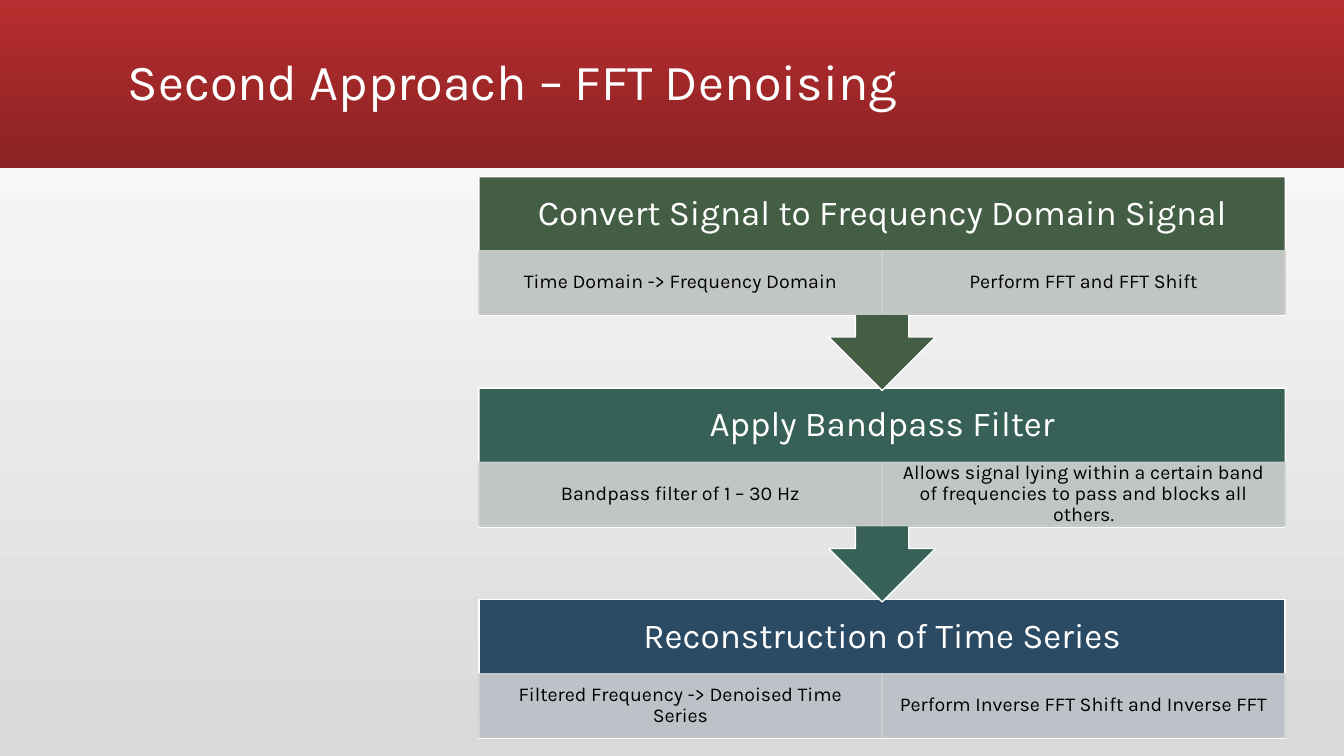
from pptx import Presentation
from pptx import util as u
from pptx.dml.color import RGBColor
from pptx.enum import shapes, text
from pptx.oxml import parse_xml
from pptx.oxml.ns import nsdecls, qn

FONT = "Karla"
WHITE = RGBColor(0xFF, 0xFF, 0xFF)
BLACK = RGBColor(0, 0, 0)
PALE_GREY = RGBColor(0xD9, 0xD9, 0xD9)
RED = RGBColor(0xB8, 0x2D, 0x2F)
DARK_RED = RGBColor(0x8A, 0x22, 0x23)
GREEN = RGBColor(0x44, 0x5E, 0x45)
TEAL = RGBColor(0x37, 0x61, 0x56)
NAVY = RGBColor(0x2B, 0x4A, 0x63)
GREEN_TINT = RGBColor(0xCF, 0xD2, 0xD0)
TEAL_TINT = RGBColor(0xCE, 0xD2, 0xD2)
NAVY_TINT = RGBColor(0xCD, 0xD0, 0xD3)

STEPS = [
    ("Convert Signal to Frequency Domain Signal", GREEN, GREEN_TINT,
     ["Time Domain -> Frequency Domain", "Perform FFT and FFT Shift"]),
    ("Apply Bandpass Filter", TEAL, TEAL_TINT,
     ["Bandpass filter of 1 – 30 Hz",
      "Allows signal lying within a certain band of frequencies to pass and blocks all others."]),
    ("Reconstruction of Time Series", NAVY, NAVY_TINT,
     ["Filtered Frequency -> Denoised Time Series", "Perform Inverse FFT Shift and Inverse FFT"]),
]
STEP_PITCH = u.Cm(5.33)
CALLOUT_HEIGHT = u.Cm(5.39)
LAST_HEIGHT = u.Cm(3.5)
HEADING_HEIGHT = u.Cm(1.87)
DETAIL_HEIGHT = u.Cm(1.6)


def shade(fill, start, end, angle):
    """Apply a two-colour linear gradient."""
    fill.gradient()
    fill.gradient_angle = angle
    for stop, colour in zip(fill.gradient_stops, (start, end)):
        stop.color.rgb = colour


def add_block(slide, kind, box, colour, line):
    """Add a filled shape with a thin outline and no shadow."""
    block = slide.shapes.add_shape(kind, *box)
    block.shadow.inherit = False
    block.fill.solid()
    block.fill.fore_color.rgb = colour
    block.line.color.rgb = line
    block.line.width = u.Pt(1)
    return block


def make_translucent(block):
    """Set the fill and outline to 90 % opacity."""
    for colour in block.element.spPr.iter(qn("a:srgbClr")):
        colour.append(parse_xml(f'<a:alpha {nsdecls("a")} val="90000"/>'))


def write(holder, words, size, colour, align, side, edge):
    """Write one vertically centred paragraph with the given insets."""
    frame = holder.text_frame
    frame.word_wrap = True
    frame.vertical_anchor = text.MSO_ANCHOR.MIDDLE
    frame.margin_left = frame.margin_right = side
    frame.margin_top = frame.margin_bottom = edge
    paragraph = frame.paragraphs[0]
    paragraph.alignment = align
    paragraph.line_spacing = 0.9
    run = paragraph.add_run()
    run.text = words
    run.font.name = FONT
    run.font.size = u.Pt(size)
    run.font.color.rgb = colour


def add_banner(slide, left, top, width, height):
    """Draw the red title banner."""
    banner = slide.shapes.add_shape(shapes.MSO_SHAPE.RECTANGLE, left, top, width, height)
    banner.shadow.inherit = False
    banner.line.fill.background()
    shade(banner.fill, RED, DARK_RED, 270)
    title = slide.shapes.add_textbox(left + u.Cm(2.97), top + u.Cm(0.28), u.Cm(27.94), u.Cm(3.68))
    write(title, "Second Approach – FFT Denoising", 36, WHITE,
          text.PP_ALIGN.LEFT, u.Cm(0.25), u.Cm(0.13))


def add_step(slide, left, top, width, step, is_last):
    """Draw a heading block with its row of details, and an arrow unless last."""
    heading, colour, tint, details = step
    if is_last:
        kind, height = shapes.MSO_SHAPE.RECTANGLE, LAST_HEIGHT
    else:
        kind, height = shapes.MSO_SHAPE.DOWN_ARROW_CALLOUT, CALLOUT_HEIGHT
    add_block(slide, kind, (left, top, width, height), colour, WHITE)
    label = slide.shapes.add_textbox(left, top, width, HEADING_HEIGHT)
    write(label, heading, 25, WHITE, text.PP_ALIGN.CENTER, u.Cm(0.48), u.Cm(0.48))
    detail_width = width // len(details)
    for column, words in enumerate(details):
        box = (left + column * detail_width, top + HEADING_HEIGHT, detail_width, DETAIL_HEIGHT)
        detail = add_block(slide, shapes.MSO_SHAPE.RECTANGLE, box, tint, tint)
        make_translucent(detail)
        write(detail, words, 14, BLACK, text.PP_ALIGN.CENTER, u.Cm(0.28), u.Cm(0.05))


def add_process(slide, left, top, width):
    """Stack the steps from the last up, so each arrow overlaps the step below."""
    for index, step in reversed(list(enumerate(STEPS))):
        add_step(slide, left, top + index * STEP_PITCH, width, step, index == len(STEPS) - 1)


def main():
    """Build and save the slide."""
    deck = Presentation()
    deck.slide_width, deck.slide_height = u.Cm(33.87), u.Cm(19.05)
    slide = deck.slides.add_slide(deck.slide_layouts[6])
    shade(slide.background.fill, PALE_GREY, WHITE, 90)
    add_banner(slide, 0, 0, deck.slide_width, u.Cm(4.24))
    add_process(slide, u.Cm(12.07), u.Cm(4.45), u.Cm(20.32))
    deck.save("out.pptx")


if __name__ == "__main__":
    main()
